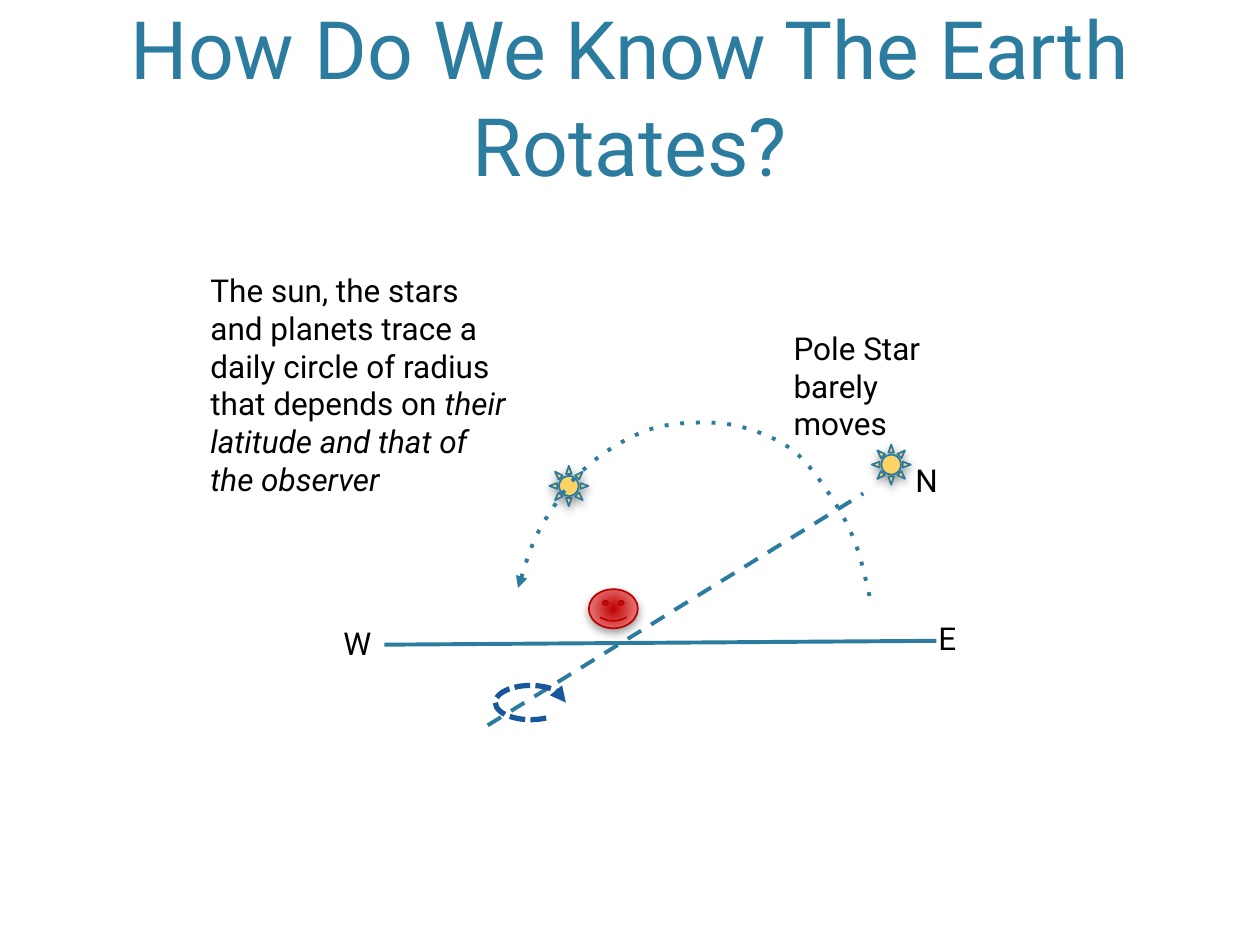
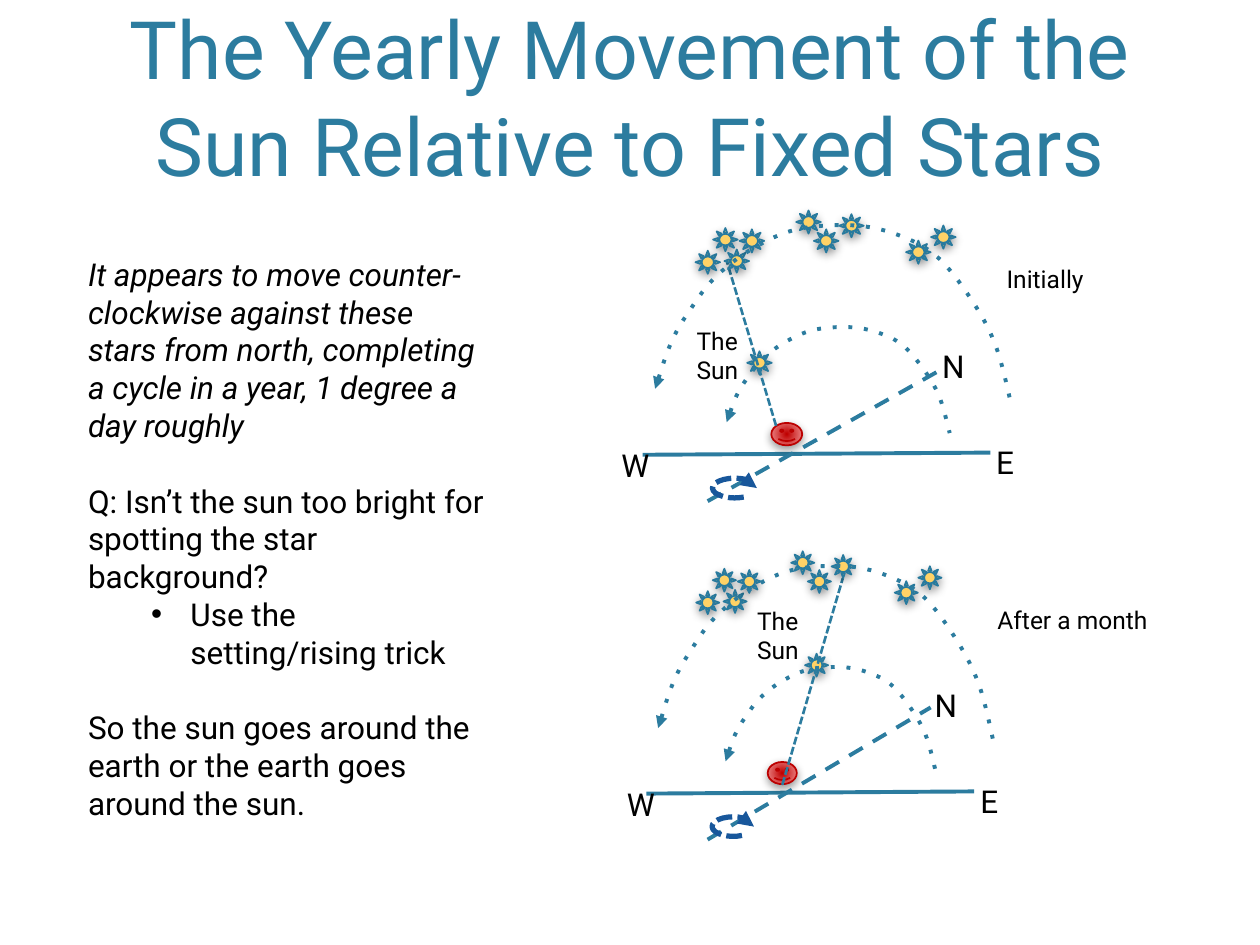
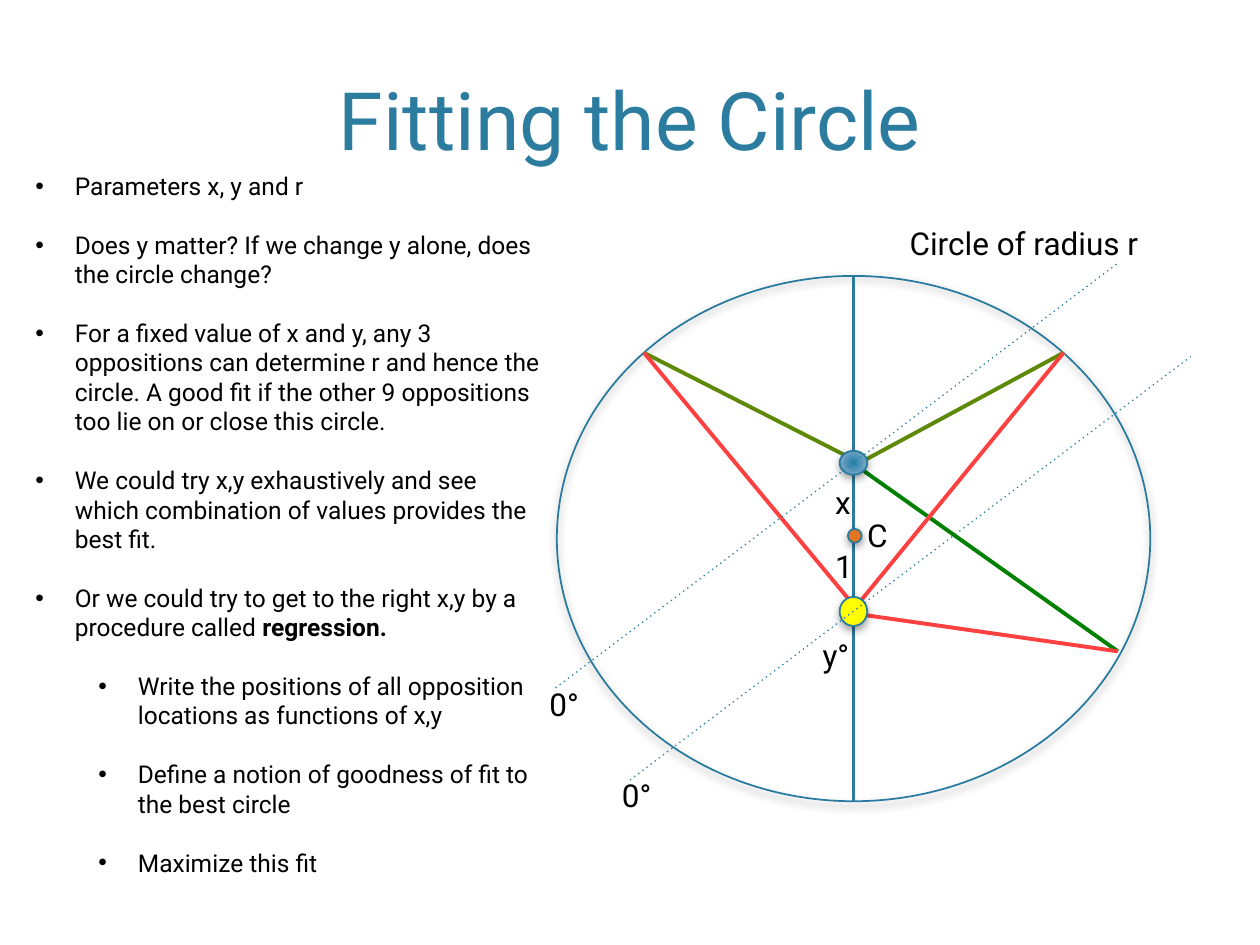
from lxml import etree
from pptx import Presentation
from pptx import util as u
from pptx.dml.color import RGBColor
from pptx.enum import shapes, text
from pptx.oxml.ns import nsdecls, qn
from pptx.oxml import parse_xml

FONT = "Roboto"
HUES = {
    "title": "2C7C9F", "line": "2C7C9F", "edge": "287A9E", "ink": "000000",
    "star": "FFD266", "face": "BC0000", "spin": "18579B", "olive": "5E8805",
    "green": "008000", "red": "FF4040", "earth": "FFFF00", "core": "E2751D",
}
SKIN = ("C00000", "E36B6B", "ECB3B3")
BLUE = ("2180AA", "75A5C5", "B8CCDC")
KIND = shapes.MSO_SHAPE
LEAD = 1.2

# Knots of the path across the sky, in points from its top left
PATH = [(0, 94.3), (9.4, 67), (20.2, 48.2), (33.8, 30.2), (54.7, 13.7),
        (80.6, 2.2), (113.8, 0), (140.4, 6.5), (161.3, 19.4),
        (181.4, 46.1), (193.7, 71.3), (202.3, 105.1)]
# Fixed stars, in points from the west end of the horizon
STARS = [(48, -202.9), (64, -225.4), (74.3, -204.1), (88, -224.1),
         (139.4, -242.9), (155.4, -224.1), (178.3, -239.2),
         (239, -212.9), (261.7, -227.9)]


def color(name):
    return RGBColor.from_string(HUES[name])


def pts(*nums):
    return [u.Pt(n) for n in nums]


def stroke(item, hue, width, dash=None, head=False, tail=False):
    item.line.color.rgb = color(hue)
    item.line.width = u.Pt(width)
    ln = item.line._get_or_add_ln()
    if dash:
        etree.SubElement(ln, qn("a:prstDash"), val=dash)
    for tag, on in (("a:headEnd", head), ("a:tailEnd", tail)):
        if on:
            etree.SubElement(ln, qn(tag), type="triangle")


def shade(shape):
    """Add the soft shadow below a shape."""
    shape.shadow.inherit = False
    glow = shape._element.spPr.find(qn("a:effectLst"))
    glow.append(parse_xml(
        f'<a:outerShdw {nsdecls("a")} blurRad="{u.Pt(5)}" dist="{u.Pt(2)}" '
        'dir="5400000" rotWithShape="0"><a:srgbClr val="000000">'
        '<a:alpha val="40000"/></a:srgbClr></a:outerShdw>'))


def glaze(shape, hues):
    """Fill a shape with a round gradient."""
    stops = "".join(f'<a:gs pos="{pos}"><a:srgbClr val="{hue}"/></a:gs>'
                    for pos, hue in zip((0, 69000, 100000), hues))
    fill = parse_xml(
        f'<a:gradFill {nsdecls("a")}><a:gsLst>{stops}</a:gsLst>'
        '<a:path path="circle"><a:fillToRect l="100000" t="100000" '
        'r="100000" b="100000"/></a:path></a:gradFill>')
    shape._element.spPr.find(qn("a:prstGeom")).addnext(fill)


def body(slide, kind, box, fill=None, edge="edge"):
    """Add a shaded shape; fill is a colour name, three hues or None."""
    shape = slide.shapes.add_shape(kind, *pts(*box))
    if isinstance(fill, tuple):
        glaze(shape, fill)
    elif fill:
        shape.fill.solid()
        shape.fill.fore_color.rgb = color(fill)
    else:
        shape.fill.background()
    stroke(shape, edge, 1)
    shade(shape)


def rule(slide, start, end, hue="line", width=2.25, dash=None):
    line = slide.shapes.add_connector(
        shapes.MSO_CONNECTOR.STRAIGHT, *pts(*start, *end))
    stroke(line, hue, width, dash)
    etree.SubElement(line._element.spPr, qn("a:effectLst"))


def bullet(para, depth):
    props = para._p.get_or_add_pPr()
    if depth > 1:
        props.set("lvl", str(depth - 1))
    props.set("marL", str(u.Pt(22.5 + 36 * (depth - 1))))
    props.set("indent", str(-u.Pt(22.5)))
    etree.SubElement(props, qn("a:buFont"), typeface="Arial")
    etree.SubElement(props, qn("a:buChar"), char="•")


def note(slide, box, paras, size=18, wrap=True, drop=0):
    """Add text; each paragraph is (runs, bullet depth, gap above in lines),
    each run is (words, style), where style is "", "i" or "b"."""
    frame = slide.shapes.add_textbox(*pts(*box)).text_frame
    frame.word_wrap = wrap
    frame.auto_size = text.MSO_AUTO_SIZE.SHAPE_TO_FIT_TEXT
    frame.margin_top = u.Pt(3.6 + drop)
    for num, (runs, depth, gap) in enumerate(paras):
        para = frame.add_paragraph() if num else frame.paragraphs[0]
        if gap:
            para.space_before = u.Pt(gap * size * LEAD)
        if depth:
            bullet(para, depth)
        para.font.name = FONT
        para.font.size = u.Pt(size)
        para.font.color.rgb = color("ink")
        for words, style in runs:
            run = para.add_run()
            run.text = words
            font = run.font
            font.name, font.size = FONT, u.Pt(size)
            font.color.rgb = color("ink")
            if style:
                font.italic, font.bold = style == "i", style == "b"


def label(slide, box, *lines, size=18, wrap=False):
    note(slide, box, [([(line, "")], 0, 0) for line in lines], size, wrap)


def page(deck, title, top=8.6, height=105.1):
    slide = deck.slides.add_slide(deck.slide_layouts[5])
    head = slide.shapes.title
    head.left, head.top, head.width, head.height = pts(
        43, top, 633.6, height)
    frame = head.text_frame
    frame.text = title
    frame.word_wrap = True
    frame.auto_size = text.MSO_AUTO_SIZE.NONE
    frame.vertical_anchor = text.MSO_ANCHOR.BOTTOM
    para = frame.paragraphs[0]
    para.alignment = text.PP_ALIGN.CENTER
    para.font.name, para.font.size = FONT, u.Pt(46)
    para.font.color.rgb = color("title")
    return slide


def bend(shape):
    """Turn the straight parts of a freeform into one smooth curve."""
    knots = [(int(pt.get("x")), int(pt.get("y")))
             for pt in shape._element.iter(qn("a:pt"))]
    ends = [knots[0], *knots, knots[-1]]
    parts = list(shape._element.iter(qn("a:lnTo")))
    for part, a, b, c, d in zip(parts, ends, ends[1:], ends[2:], ends[3:]):
        part.tag = qn("a:cubicBezTo")
        out = [b[k] + (c[k] - a[k]) // 6 for k in (0, 1)]
        back = [c[k] - (d[k] - b[k]) // 6 for k in (0, 1)]
        for x, y in (back, out):
            spot = etree.Element(qn("a:pt"), x=str(x), y=str(y))
            part.insert(0, spot)


class Sky:
    """Horizon diagram, scaled from the west end of the horizon."""

    def __init__(self, slide, left, base, wide=1.0, high=1.0):
        self.slide, self.left, self.base = slide, left, base
        self.wide, self.high = wide, high

    def spot(self, x, y):
        return self.left + x * self.wide, self.base + y * self.high

    def box(self, x, y, w, h):
        return *self.spot(x, y), w * self.wide, h * self.high

    def star(self, x, y):
        body(self.slide, KIND.SUN, self.box(x, y, 22.3, 23), "star")

    def ray(self, start, end, **style):
        rule(self.slide, self.spot(*start), self.spot(*end), **style)

    def trail(self, x, y, wide=1, high=1):
        dots = [pts(*self.spot(x + a * wide, y + b * high)) for a, b in PATH]
        build = self.slide.shapes.build_freeform(*dots[0])
        build.add_line_segments(dots[1:], close=False)
        shape = build.convert_to_shape()
        bend(shape)
        shape.fill.background()
        shape.shadow.inherit = False
        stroke(shape, "line", 2.25, "dot", head=True)

    def spin(self):
        shape = self.slide.shapes.add_shape(
            KIND.ARC, *pts(*self.box(63.4, 23.3, 40.3, 19.6)))
        shape.adjustments[0], shape.adjustments[1] = 26.855, 0
        shape.fill.background()
        shape.shadow.inherit = False
        stroke(shape, "spin", 3, "sysDash", tail=True)

    def draw(self, north, sun):
        self.ray((0, 0), (315.4, -2.2))
        body(self.slide, KIND.SMILEY_FACE,
             self.box(116.8, -31.7, 28, 22.3), SKIN, "face")
        self.ray((59, 46.1), (273.6, -86.4), dash="dash")
        for name, x, y, w in (("W", -30.5, -15.1, 31),
                              ("E", 309.4, -18.2, 26), ("N", *north, 28)):
            label(self.slide, self.box(x, y, w, 28.8), name)
        self.star(*sun)
        self.trail(76.3, -126.7)
        self.spin()

    def stars(self, start, end):
        """Fixed stars and the line of sight to one of them."""
        self.ray(start, end, width=1.5, dash="sysDash")
        for place in STARS:
            self.star(*place)
        self.trail(11.4, -227.9, 1.6, 1.72)


def daily(deck):
    slide = page(deck, "How Do We Know The Earth Rotates?")
    sky = Sky(slide, 219.7, 368.4)
    sky.draw((296.3, -108.5), (94.2, -102.2))
    sky.star(278.4, -114.4)
    label(slide, (446.4, 184.3, 97.9, 72.7), "Pole Star barely moves",
          wrap=True)
    note(slide, (113.2, 151.3, 185.8, 138.2), [([
        ("The sun, the stars and planets trace a daily circle of radius "
         "that depends on ", ""),
        ("their latitude and that of the observer", "i")], 0, 0)])


def yearly(deck):
    slide = page(deck, "The Yearly Movement of the Sun Relative to "
                       "Fixed Stars")
    note(slide, (43.2, 120.4, 243.4, 399.6), [
        ([("It appears to move counter-clockwise against these stars from "
           "north, completing a cycle in a year, 1 degree a day roughly",
           "i")], 0, 0),
        ([("Q: Isn’t the sun too bright for spotting the star background?",
           "")], 0, 1),
        ([("Use the setting/rising trick", "")], 2, 0),
        ([("So the sun goes around the earth or the earth goes around the "
           "sun.", "")], 0, 1)], drop=18 * LEAD)
    group = slide.shapes.add_group_shape()
    first = Sky(group, 367.2, 259.9, 0.63, 0.575)
    first.draw((260.4, -113.7), (94.9, -102.9))
    label(group, (391, 182.7, 61.9, 36), "The", "Sun", size=14, wrap=True)
    first.stars((121.1, -28.8), (76.6, -191.6))
    later = Sky(slide, 369.3, 453.5, 0.594, 0.57)
    later.draw((265.4, -113.7), (152.7, -140.2))
    later.stars((130.9, -8.8), (189.1, -216))
    for box, lines in (((425.6, 342.5, 57.6, 35.3), ("The", "Sun")),
                       ((568.1, 147.6, 82.8, 24.5), ("Initially",)),
                       ((562.9, 342.4, 126, 24.5), ("After a month",))):
        label(slide, box, *lines, size=14, wrap=True)


def fitting(deck):
    slide = page(deck, "Fitting the Circle", 11.1, 87.8)
    west, east, low = (368, 201.6), (607.7, 201.6), (638.8, 372.2)
    body(slide, KIND.OVAL, (318.2, 157.7, 339.1, 300.2))
    rule(slide, (487.8, 157.7), (487.8, 457.9), width=2)
    body(slide, KIND.OVAL, (484.5, 302.2, 7.9, 7.9), "core")
    for start, end, hue in (((482.4, 259.9), west, "olive"),
                            ((482.4, 269.3), east, "olive"),
                            ((493.9, 269.3), low, "green")):
        rule(slide, start, end, hue)
    body(slide, KIND.OVAL, (479.8, 257.6, 15.8, 13.7), BLUE)
    for start, end in (((479.8, 349.4), low), (east, (488.2, 347.8)),
                       (west, (488.2, 346.3))):
        rule(slide, start, end, "red")
    label(slide, (488.5, 291.2, 110.9, 28.8), "C", wrap=True)
    body(slide, KIND.OVAL, (479.8, 341.1, 15.8, 16.6), "earth")
    points = [
        ("Parameters x, y and r", 1),
        ("Does y matter? If we change y alone, does the circle change?", 1),
        ("For a fixed value of x and y, any 3 oppositions can determine r "
         "and hence the circle. A good fit if the other 9 oppositions too "
         "lie on or close this circle.", 1),
        ("We could try x,y exhaustively and see which combination of values "
         "provides the best fit.", 1),
        ("Or we could try to get to the right x,y by a procedure called ", 1),
        ("Write the positions of all opposition locations as functions of "
         "x,y", 2),
        ("Define a notion of goodness of fit to the best circle", 2),
        ("Maximize this fit", 2)]
    paras = [([(words, "")], depth, min(num, 1))
             for num, (words, depth) in enumerate(points)]
    paras[4][0].append(("regression.", "b"))
    note(slide, (13.2, 94.2, 305.3, 448.6), paras, 14)
    for start, end in (((317.5, 393.1), (638.6, 150.5)),
                       ((360, 445.7), (680.4, 203.8))):
        rule(slide, start, end, width=0.75, dash="dot")
    for words, x, y, w in (("1", 470.2, 308.9, 25.9),
                           ("x", 470.2, 272.2, 23.8),
                           ("0°", 348.3, 440.1, 33.1),
                           ("0°", 306.9, 388.1, 33.1),
                           ("y°", 463, 360, 31),
                           ("Circle of radius r", 512.7, 124.6, 161.3)):
        label(slide, (x, y, w, 28.8), words)


def main():
    deck = Presentation()
    deck.slide_width, deck.slide_height = pts(720, 540)
    daily(deck)
    yearly(deck)
    fitting(deck)
    deck.save("out.pptx")


if __name__ == "__main__":
    main()
